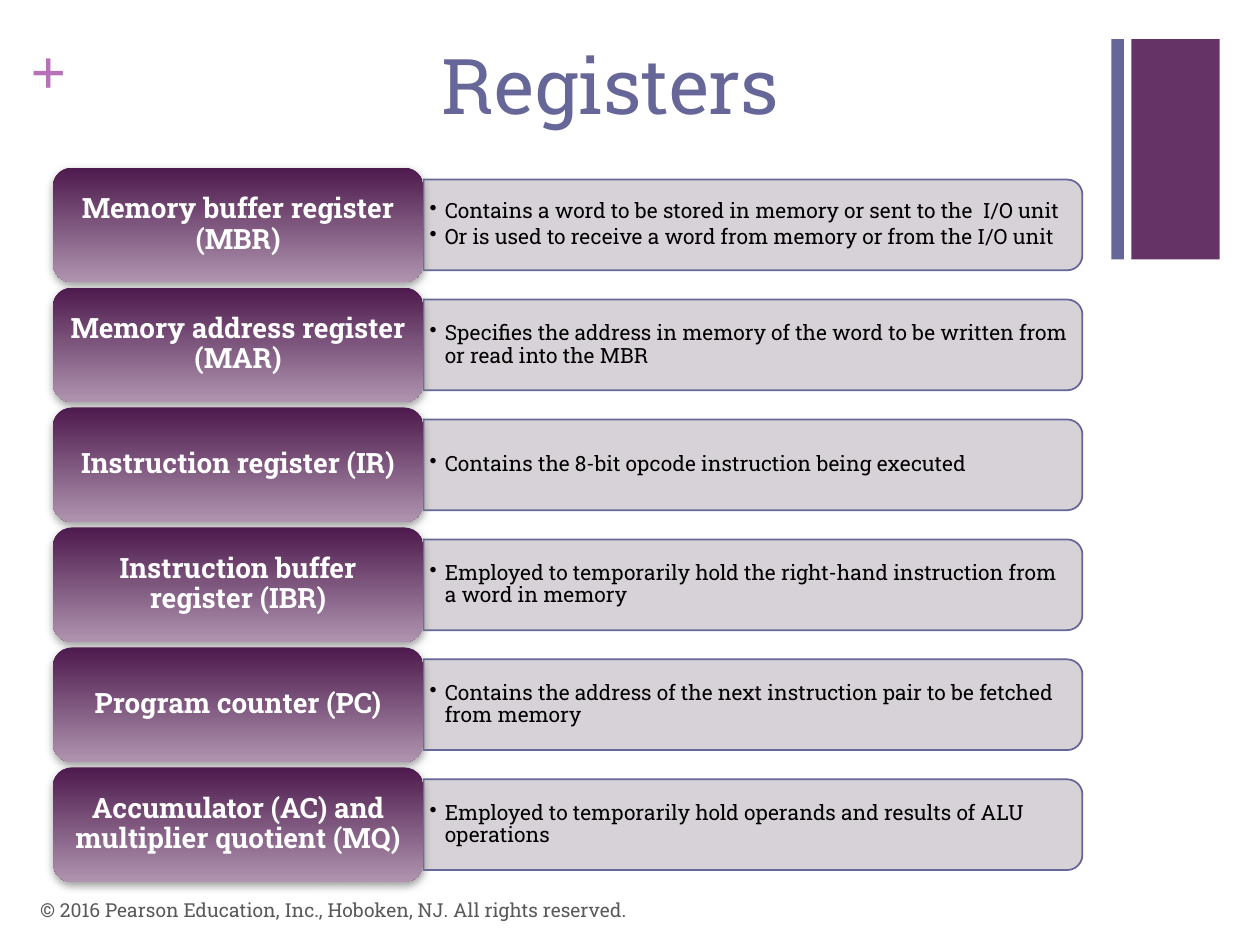
from lxml import etree
from pptx import Presentation
from pptx.dml.color import RGBColor
from pptx.enum.shapes import MSO_SHAPE
from pptx.enum.text import MSO_ANCHOR, PP_ALIGN
from pptx.oxml.ns import qn
from pptx.util import Inches, Pt

RECT, ROUND_RECT = MSO_SHAPE.RECTANGLE, MSO_SHAPE.ROUNDED_RECTANGLE
ROUND_TOP = MSO_SHAPE.ROUND_2_SAME_RECTANGLE
TOP, MIDDLE = MSO_ANCHOR.TOP, MSO_ANCHOR.MIDDLE
LEFT, CENTER, RIGHT = PP_ALIGN.LEFT, PP_ALIGN.CENTER, PP_ALIGN.RIGHT

# Content
TITLE = "Registers"
REGISTERS = [
    ("Memory buffer register (MBR)",
     ["Contains a word to be stored in memory or sent to the  I/O unit",
      "Or is used to receive a word from memory or from the I/O unit"]),
    ("Memory address register (MAR)",
     ["Specifies the address in memory of the word to be written from or read into the MBR"]),
    ("Instruction register (IR)",
     ["Contains the 8-bit opcode instruction being executed"]),
    ("Instruction buffer register (IBR)",
     ["Employed to temporarily hold the right-hand instruction from a word in memory"]),
    ("Program counter (PC)",
     ["Contains the address of the next instruction pair to be fetched from memory"]),
    ("Accumulator (AC) and multiplier quotient (MQ)",
     ["Employed to temporarily hold operands and results of ALU operations"]),
]
COPYRIGHT = "© 2016 Pearson Education, Inc., Hoboken, NJ. All rights reserved."

# Style and layout, in inches
FONT = "Roboto Slab"
SLATE, PLUM = "666699", "663366"
FIRST_TOP, LAST_TOP = 1.33, 6.09
LABEL_LEFT, LABEL_WIDTH, LABEL_HEIGHT = 0.42, 2.94, 0.91
BAR_LEFT, BAR_WIDTH, BAR_HEIGHT = 3.36, 5.23, 0.72
TEXT_WIDTH, TEXT_HEIGHT = 5.19, 0.65


def color(value):
    return RGBColor.from_string(value)


def add_child(parent, tag, **attributes):
    names = {name: str(value) for name, value in attributes.items()}
    return etree.SubElement(parent, qn(tag), names)


def add_shape(kind, left, top, width, height, fill=None):
    shape = page.shapes.add_shape(kind, Inches(left), Inches(top), Inches(width), Inches(height))
    shape.shadow.inherit = False
    shape.line.fill.background()
    if fill:
        shape.fill.solid()
        shape.fill.fore_color.rgb = color(fill)
    return shape


def add_box(left, top, width, height):
    return page.shapes.add_textbox(Inches(left), Inches(top), Inches(width), Inches(height))


def write(shape, lines, size, ink, font=FONT, bold=False, align=LEFT, anchor=TOP,
          inset=(0.1, 0.05), spacing=None, bullet=False):
    frame = shape.text_frame
    frame.word_wrap = True
    frame.vertical_anchor = anchor
    frame.margin_left = frame.margin_right = Inches(inset[0])
    frame.margin_top = frame.margin_bottom = Inches(inset[1])
    frame.text = "\n".join(lines)
    for para in frame.paragraphs:
        para.alignment = align
        if spacing:
            para.line_spacing = spacing
        if bullet:
            para.space_after = Pt(2)
            properties = para._p.get_or_add_pPr()
            properties.set("marL", str(Inches(0.12)))
            properties.set("indent", str(-Inches(0.12)))
            add_child(properties, "a:buChar", char="•")
        para.font.size = Pt(size)
        para.font.name = font
        para.font.bold = bold
        para.font.color.rgb = color(ink)


def add_bar(middle, lines):
    # The preset rounds its top corners, so it is turned to round the right side
    bar = add_shape(ROUND_TOP, BAR_LEFT + (BAR_WIDTH - BAR_HEIGHT) / 2,
                    middle - BAR_WIDTH / 2, BAR_HEIGHT, BAR_WIDTH, "D3CED3")
    bar.rotation = 90
    solid = bar._element.spPr.find(qn("a:solidFill"))
    add_child(solid[0], "a:alpha", val=90000)
    bar.line.color.rgb = color(SLATE)
    bar.line.width = Pt(1)
    box = add_box(BAR_LEFT, middle - TEXT_HEIGHT / 2, TEXT_WIDTH, TEXT_HEIGHT)
    write(box, lines, 12, "000000", anchor=MIDDLE, inset=(0.05, 0.03), spacing=0.9, bullet=True)


def add_label(top, name):
    label = add_shape(ROUND_RECT, LABEL_LEFT, top, LABEL_WIDTH, LABEL_HEIGHT)
    label.fill.gradient()
    label.fill.gradient_angle = 270
    for stop, position, shade in zip(label.fill.gradient_stops, (0, 1), ("4D1A4D", "AF94AF")):
        stop.position = position
        stop.color.rgb = color(shade)
    effects = label._element.spPr.find(qn("a:effectLst"))
    shadow = add_child(effects, "a:outerShdw", blurRad=Pt(5), dist=Pt(2),
                       dir=90 * 60000, rotWithShape=0)
    add_child(add_child(shadow, "a:srgbClr", val="808080"), "a:alpha", val=75000)
    write(label, [name], 16, "FFFFFF", bold=True, align=CENTER, anchor=MIDDLE,
          inset=(0.07, 0.03), spacing=0.9)


deck = Presentation()
deck.slide_width, deck.slide_height = Inches(10), Inches(7.5)
page = deck.slides.add_slide(deck.slide_layouts[5])

# Corner decoration
add_shape(RECT, 8.98, 0.31, 0.7, 1.75, PLUM)
add_shape(RECT, 8.82, 0.31, 0.1, 1.75, SLATE)
write(add_box(0.24, 0.25, 0.29, 0.61), ["+"], 36, "B870B8", font="Times New Roman",
      bold=True, inset=(0, 0))

# Title
title = page.shapes.title
title.left, title.top = Inches(0), Inches(0.25)
title.width, title.height = Inches(6.29), Inches(1.22)
write(title, [TITLE], 44, SLATE, align=RIGHT)

# Register rows
pitch = (LAST_TOP - FIRST_TOP) / (len(REGISTERS) - 1)
for row, (name, lines) in enumerate(REGISTERS):
    top = FIRST_TOP + row * pitch
    add_bar(top + LABEL_HEIGHT / 2, lines)
    add_label(top, name)

# Footer
write(add_box(0.22, 7.02, 6.7, 0.4), [COPYRIGHT], 11, "595959", anchor=MIDDLE)

deck.save("out.pptx")
